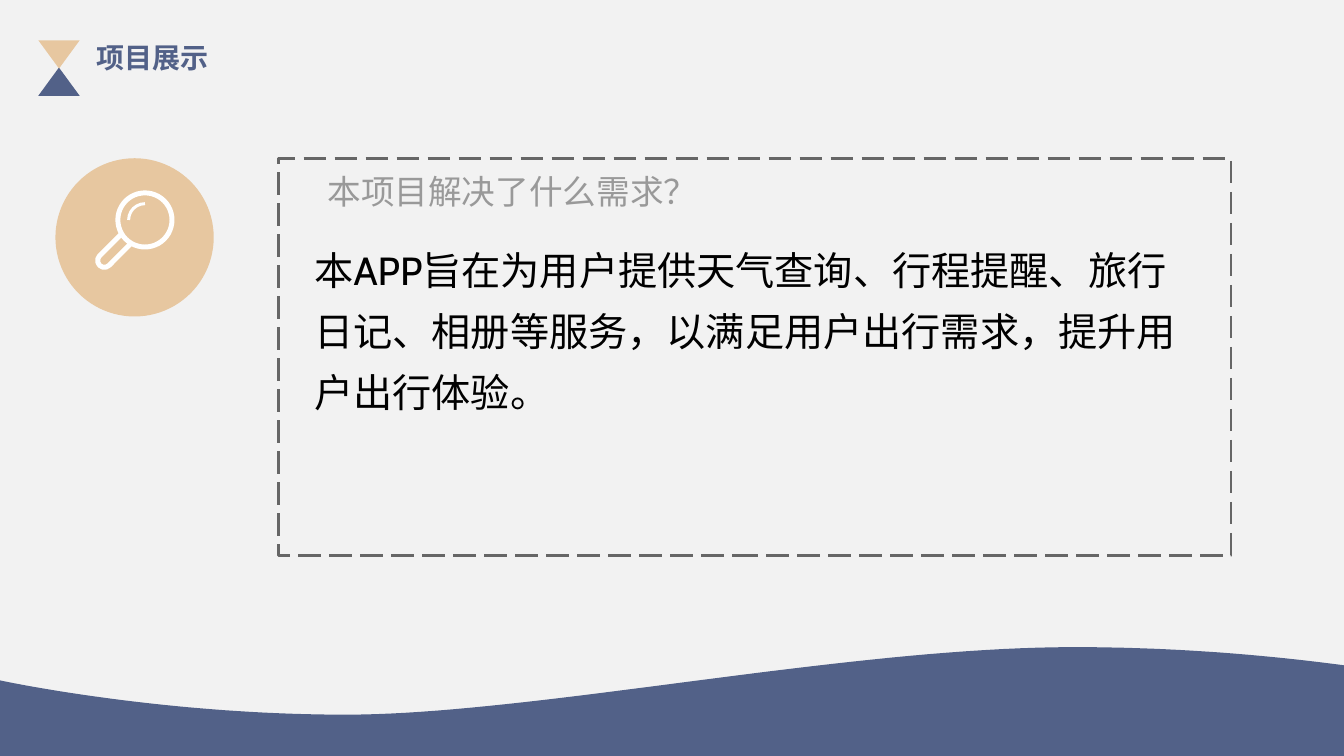
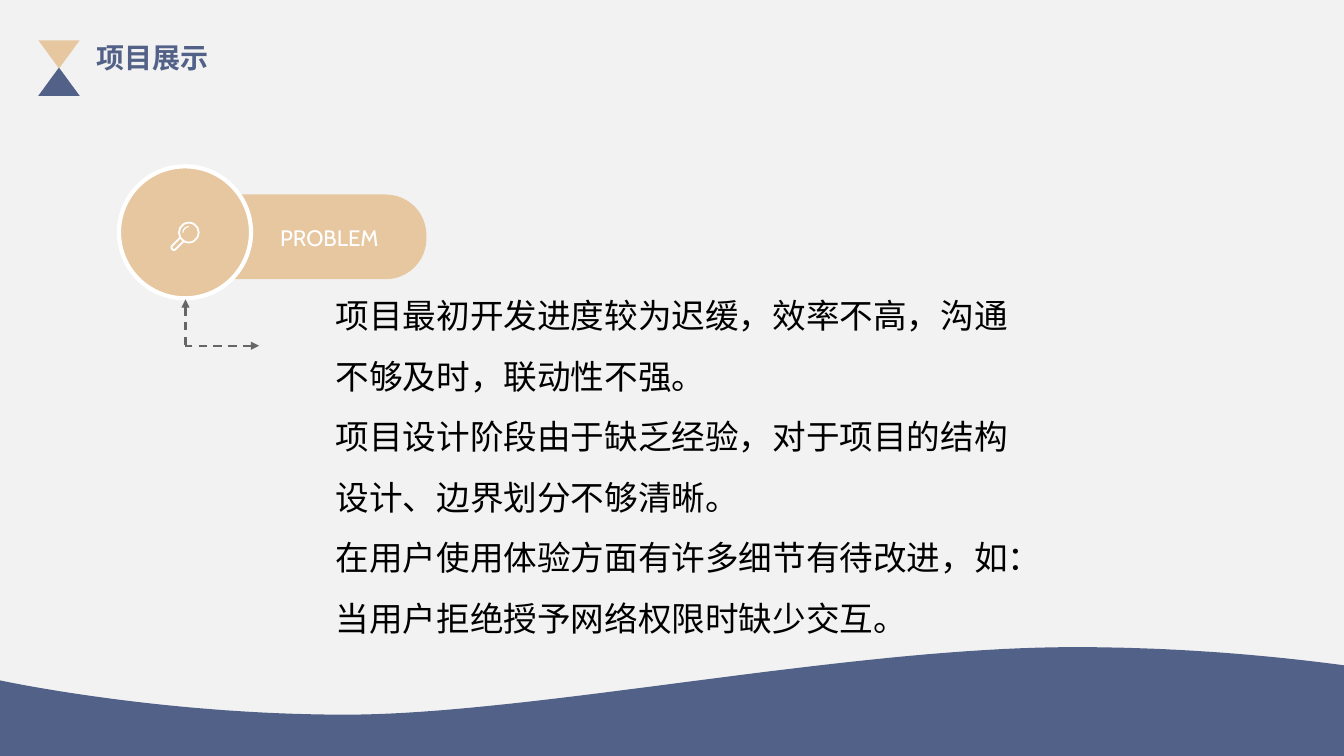
from dataclasses import dataclass
from typing import Optional

from lxml.etree import SubElement
from pptx import Presentation
from pptx.dml.color import RGBColor
from pptx.enum.dml import MSO_LINE
from pptx.enum.shapes import MSO_CONNECTOR, MSO_SHAPE
from pptx.enum.text import MSO_AUTO_SIZE, PP_ALIGN
from pptx.oxml.ns import qn
from pptx.shapes.autoshape import Shape
from pptx.slide import Slide
from pptx.util import Inches, Pt

PAPER = RGBColor(0xF2, 0xF2, 0xF2)
NAVY = RGBColor(0x52, 0x61, 0x88)
SAND = RGBColor(0xE7, 0xC7, 0xA0)
WHITE = RGBColor(0xFF, 0xFF, 0xFF)
BLACK = RGBColor(0, 0, 0)
DASH_GRAY = RGBColor(0x66, 0x66, 0x66)
HINT_GRAY = RGBColor(0x99, 0x99, 0x99)

WIDTH, HEIGHT = 13.33, 7.5
Point = tuple[float, float]
Box = tuple[float, float, float, float]

# Cubic curves of the wave's top edge, from right to left
WAVE_CURVES: list[tuple[Point, Point, Point, Point]] = [
    ((WIDTH, 6.6), (12.5, 6.49), (11.6, 6.42), (10.65, 6.42)),
    ((10.65, 6.42), (8.4, 6.42), (5.28, 7.09), (3.43, 7.09)),
    ((3.43, 7.09), (1.57, 7.09), (0, 6.75), (0, 6.75)),
]
CURVE_STEPS = 40


@dataclass(frozen=True)
class Label:
    box: Box
    text: str
    size: float
    color: RGBColor
    font: str = "Cabin"
    bold: bool = False
    spacing: float = 1.0
    align: PP_ALIGN = PP_ALIGN.LEFT


@dataclass(frozen=True)
class Look:
    fill: Optional[RGBColor] = None
    line: Optional[RGBColor] = None
    weight: float = 1.0
    dash: Optional[MSO_LINE] = None


TITLE = Label((0.86, 0.35, 1.79, 0.44), "项目展示", 20, NAVY,
              font="Arial", bold=True, align=PP_ALIGN.JUSTIFY)

NEED_LABELS = [
    Label((3.15, 1.65, 4.72, 0.59), "本项目解决了什么需求？", 24, HINT_GRAY),
    Label((3.02, 2.25, 8.9, 1.94),
          "本APP旨在为用户提供天气查询、行程提醒、旅行日记、相册等服务，"
          "以满足用户出行需求，提升用户出行体验。", 28, BLACK, spacing=1.3),
]

PROBLEM_LABELS = [
    Label((2.68, 2.17, 1.31, 0.37), "PROBLEM", 16, WHITE),
    Label((3.23, 2.68, 7.09, 3.66),
          "项目最初开发进度较为迟缓，效率不高，沟通不够及时，联动性不强。\n"
          "项目设计阶段由于缺乏经验，对于项目的结构设计、边界划分不够清晰。\n"
          "在用户使用体验方面有许多细节有待改进，如：当用户拒绝授予网络权限时缺少交互。",
          24, BLACK, spacing=1.5),
]


def apply_look(sp: Shape, look: Look) -> None:
    sp.shadow.inherit = False
    if look.fill is None:
        sp.fill.background()
    else:
        sp.fill.solid()
        sp.fill.fore_color.rgb = look.fill
    if look.line is None:
        sp.line.fill.background()
        return
    sp.line.color.rgb = look.line
    sp.line.width = Pt(look.weight)
    if look.dash is not None:
        sp.line.dash_style = look.dash


def add_preset(s: Slide, kind: MSO_SHAPE, box: Box, look: Look,
               rotation: float = 0) -> Shape:
    sp = s.shapes.add_shape(kind, *map(Inches, box))
    sp.rotation = rotation
    apply_look(sp, look)
    return sp


def add_label(s: Slide, label: Label) -> None:
    tf = s.shapes.add_textbox(*map(Inches, label.box)).text_frame
    tf.word_wrap = True
    tf.auto_size = MSO_AUTO_SIZE.SHAPE_TO_FIT_TEXT
    tf.text = label.text
    for p in tf.paragraphs:
        p.alignment = label.align
        p.line_spacing = label.spacing
        for r in p.runs:
            r.font.name = label.font
            r.font.size = Pt(label.size)
            r.font.bold = label.bold
            r.font.color.rgb = label.color


def add_dashed_arrow(s: Slide, tip: Point, tail: Point) -> None:
    line = s.shapes.add_connector(
        MSO_CONNECTOR.STRAIGHT, *map(Inches, (*tip, *tail)))
    line.line.color.rgb = DASH_GRAY
    line.line.width = Pt(1.5)
    line.line.dash_style = MSO_LINE.DASH
    SubElement(line.line._get_or_add_ln(), qn("a:headEnd"), type="triangle")
    SubElement(line._element.spPr, qn("a:effectLst"))


def curve_point(curve: tuple[Point, Point, Point, Point], t: float) -> Point:
    u = 1 - t
    weights = (u ** 3, 3 * u * u * t, 3 * u * t * t, t ** 3)
    x, y = (sum(w * pt[i] for w, pt in zip(weights, curve)) for i in (0, 1))
    return x, y


def add_wave(s: Slide) -> None:
    edge = [curve_point(curve, step / CURVE_STEPS)
            for curve in WAVE_CURVES for step in range(1, CURVE_STEPS + 1)]
    outline = [WAVE_CURVES[0][0], *edge, (0, HEIGHT), (WIDTH, HEIGHT)]
    start, *rest = [(Inches(x), Inches(y)) for x, y in outline]
    builder = s.shapes.build_freeform(*start)
    builder.add_line_segments(rest, close=True)
    apply_look(builder.convert_to_shape(), Look(NAVY))


def add_magnifier(s: Slide, left: float, top: float, size: float) -> None:
    def part(kind: MSO_SHAPE, center: Point, width: float, height: float,
             look: Look, rotation: float = 0) -> Shape:
        """Place a part by its centre, in fractions of the icon size."""
        cx, cy = center
        box = (left + (cx - width / 2) * size, top + (cy - height / 2) * size,
               width * size, height * size)
        return add_preset(s, kind, box, look, rotation)

    lens = (0.63, 0.37)
    stroke = 4.5 * size
    handle = part(MSO_SHAPE.ROUNDED_RECTANGLE, (0.29, 0.71), 0.65, 0.17,
                  Look(line=WHITE, weight=stroke), rotation=-45)
    handle.adjustments[0] = 0.5
    part(MSO_SHAPE.OVAL, lens, 0.68, 0.68, Look(SAND, WHITE, stroke))
    part(MSO_SHAPE.ARC, lens, 0.41, 0.41,
         Look(line=WHITE, weight=stroke * 0.6), rotation=-90)


def new_slide(prs: Presentation) -> Slide:
    """Add a slide with the wave, the hourglass and the title."""
    s = prs.slides.add_slide(prs.slide_layouts[6])
    add_wave(s)
    for top, color, rotation in ((0.67, NAVY, 0), (0.4, SAND, 180)):
        add_preset(s, MSO_SHAPE.ISOSCELES_TRIANGLE, (0.38, top, 0.41, 0.28),
                   Look(color), rotation)
    add_label(s, TITLE)
    return s


def build_need_slide(prs: Presentation) -> None:
    s = new_slide(prs)
    add_preset(s, MSO_SHAPE.RECTANGLE, (2.76, 1.57, 9.45, 3.94),
               Look(line=DASH_GRAY, weight=2, dash=MSO_LINE.LONG_DASH))
    add_preset(s, MSO_SHAPE.OVAL, (0.55, 1.57, 1.57, 1.57), Look(SAND))
    add_magnifier(s, 0.94, 1.89, 0.79)
    for label in NEED_LABELS:
        add_label(s, label)


def build_problem_slide(prs: Presentation) -> None:
    s = new_slide(prs)
    pill = add_preset(s, MSO_SHAPE.ROUNDED_RECTANGLE,
                      (1.77, 1.93, 2.46, 0.84), Look(SAND))
    pill.adjustments[0] = 0.48
    add_preset(s, MSO_SHAPE.OVAL, (1.18, 1.65, 1.31, 1.31),
               Look(SAND, WHITE, 3))
    corner = (1.84, 3.43)
    for tip in ((2.57, 3.43), (1.84, 2.97)):
        add_dashed_arrow(s, tip, corner)
    add_magnifier(s, 1.69, 2.2, 0.29)
    for label in PROBLEM_LABELS:
        add_label(s, label)


def main() -> None:
    prs = Presentation()
    prs.slide_width, prs.slide_height = Inches(WIDTH), Inches(HEIGHT)
    background = prs.slide_master.background.fill
    background.solid()
    background.fore_color.rgb = PAPER
    build_need_slide(prs)
    build_problem_slide(prs)
    prs.save("out.pptx")


if __name__ == "__main__":
    main()
